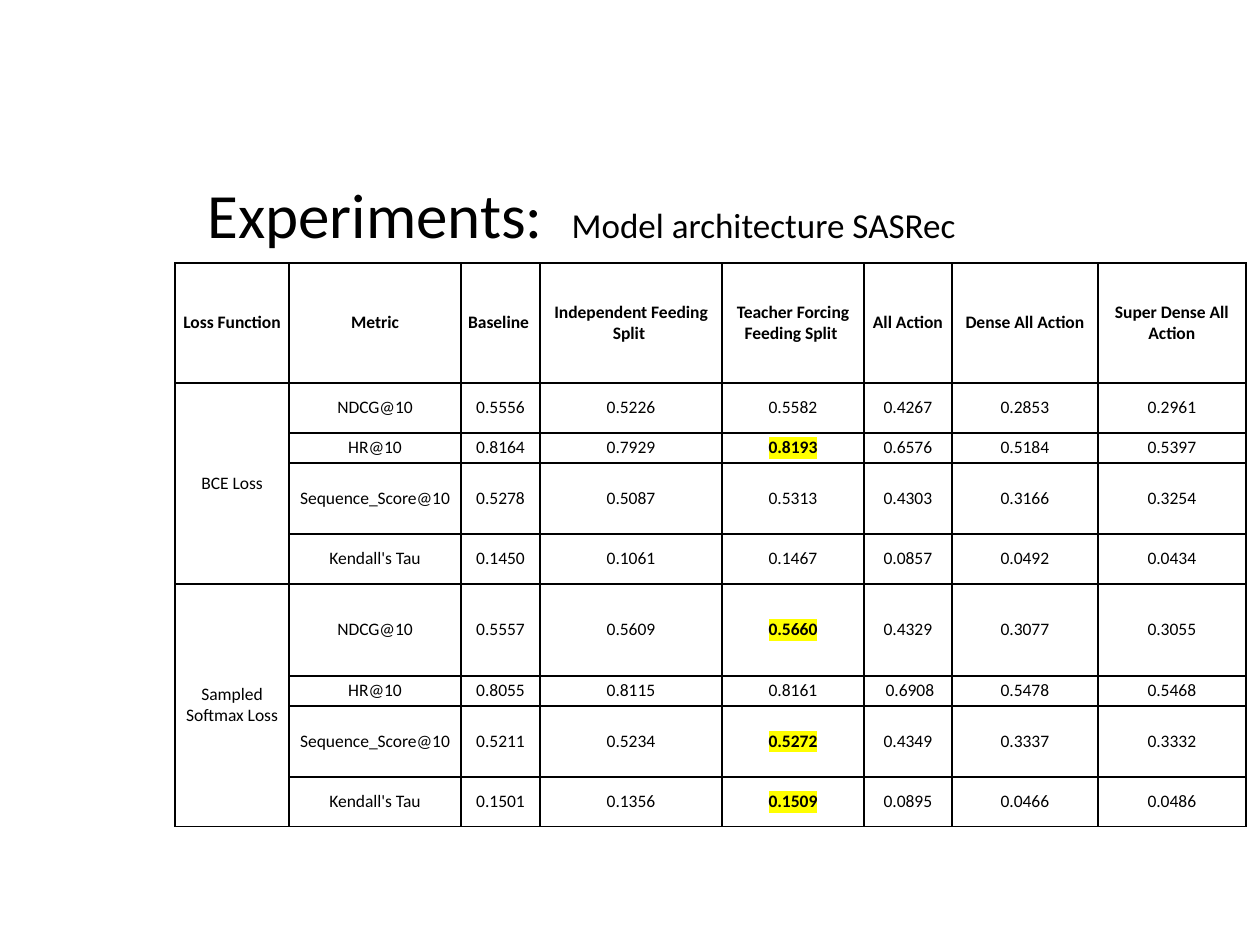
from dataclasses import dataclass
from lxml import etree
from pptx import Presentation
from pptx import util as u
from pptx.dml.color import RGBColor
from pptx.enum import text
from pptx.oxml.ns import qn

SCALE = 914400 / 126


def px(n):
    return u.Emu(round(n * SCALE))


@dataclass
class Theme:
    face: str = "Calibri"
    ink: str = "000000"
    mark: str = "FFFF00"
    title: int = 36
    sub: int = 20
    body: int = 10
    line: int = 1


class Deck:
    def __init__(self, theme, wide, high):
        self.theme = theme
        self.file = Presentation()
        self.file.slide_width, self.file.slide_height = px(wide), px(high)
        self.slide = self.file.slides.add_slide(self.file.slide_layouts[6])

    def font(self, para, size=None, bold=False):
        font = para.font
        font.name, font.bold = self.theme.face, bold
        font.color.rgb = RGBColor.from_string(self.theme.ink)
        if size:
            font.size = u.Pt(size)

    def title(self, box, parts):
        frame = self.slide.shapes.add_textbox(*map(px, box)).text_frame
        frame.word_wrap = True
        frame.vertical_anchor = text.MSO_ANCHOR.MIDDLE
        para = frame.paragraphs[0]
        self.font(para)
        for words, size in parts:
            run = para.add_run()
            run.text, run.font.size = words, u.Pt(size)

    def paint(self, node, color):
        etree.SubElement(node, qn("a:srgbClr"), val=color)

    def border(self, cell):
        props = cell._tc.get_or_add_tcPr()
        for side in ("lnL", "lnR", "lnT", "lnB"):
            line = etree.SubElement(props, qn("a:" + side), w=str(u.Pt(self.theme.line)))
            self.paint(etree.SubElement(line, qn("a:solidFill")), self.theme.ink)
        cell.fill.background()

    def cell(self, cell, words, bold, mark):
        cell.vertical_anchor = text.MSO_ANCHOR.MIDDLE
        cell.margin_left = cell.margin_right = px(6)
        cell.margin_top = cell.margin_bottom = px(4)
        para = cell.text_frame.paragraphs[0]
        para.alignment = text.PP_ALIGN.CENTER
        self.font(para, self.theme.body, bold)
        if words:
            run = para.add_run()
            run.text = words
            if mark:
                props = run._r.get_or_add_rPr()
                self.paint(etree.SubElement(props, qn("a:highlight")), self.theme.mark)
        self.border(cell)

    def table(self, left, top, cols, rows, data, marks, spans):
        box = map(px, (left, top, sum(cols), sum(rows)))
        grid = self.slide.shapes.add_table(len(rows), len(cols), *box).table
        for col, wide in zip(grid.columns, cols):
            col.width = px(wide)
        for row, high in zip(grid.rows, rows):
            row.height = px(high)
        for r, line in enumerate(data):
            for c, words in enumerate(line):
                mark = (r, c) in marks
                self.cell(grid.cell(r, c), words, r == 0 or mark, mark)
        for first, last in spans:
            grid.cell(first, 0).merge(grid.cell(last, 0))

    def save(self):
        self.file.save("out.pptx")


HEAD = ["Loss Function", "Metric", "Baseline ", "Independent Feeding Split ",
        "Teacher Forcing Feeding Split ", "All Action", "Dense All Action",
        "Super Dense All Action"]
METRICS = ["NDCG@10", "HR@10", "Sequence_Score@10", "Kendall's Tau"]
SCORES = {
    "BCE Loss": [
        ["0.5556", "0.5226", "0.5582", "0.4267", "0.2853", "0.2961"],
        ["0.8164", "0.7929", "0.8193", "0.6576", "0.5184", "0.5397"],
        ["0.5278", "0.5087", "0.5313", "0.4303", "0.3166", "0.3254"],
        ["0.1450", "0.1061", "0.1467", "0.0857", "0.0492", "0.0434"],
    ],
    "Sampled Softmax Loss": [
        ["0.5557", "0.5609", "0.5660", "0.4329", "0.3077", "0.3055"],
        ["0.8055", "0.8115", "0.8161", " 0.6908", "0.5478", "0.5468"],
        ["0.5211", "0.5234", "0.5272", "0.4349", "0.3337", "0.3332"],
        ["0.1501", "0.1356", "0.1509", "0.0895", "0.0466", "0.0486"],
    ],
}
COLS = [114, 172, 79, 182, 142, 88, 146, 148]
ROWS = [120, 50, 30, 71, 50, 92, 30, 71, 50]
BEST = {(row, 4) for row in (2, 5, 7, 8)}


def main():
    theme = Theme()
    deck = Deck(theme, 1260, 945)
    deck.title((195, 135, 1002, 157), [("Experiments:  ", theme.title),
                                       ("Model architecture SASRec", theme.sub)])
    data = [HEAD]
    for loss, lines in SCORES.items():
        for i, (metric, line) in enumerate(zip(METRICS, lines)):
            data.append(["" if i else loss, metric] + line)
    deck.table(175, 263, COLS, ROWS, data, BEST, [(1, 4), (5, 8)])
    deck.save()


if __name__ == "__main__":
    main()
